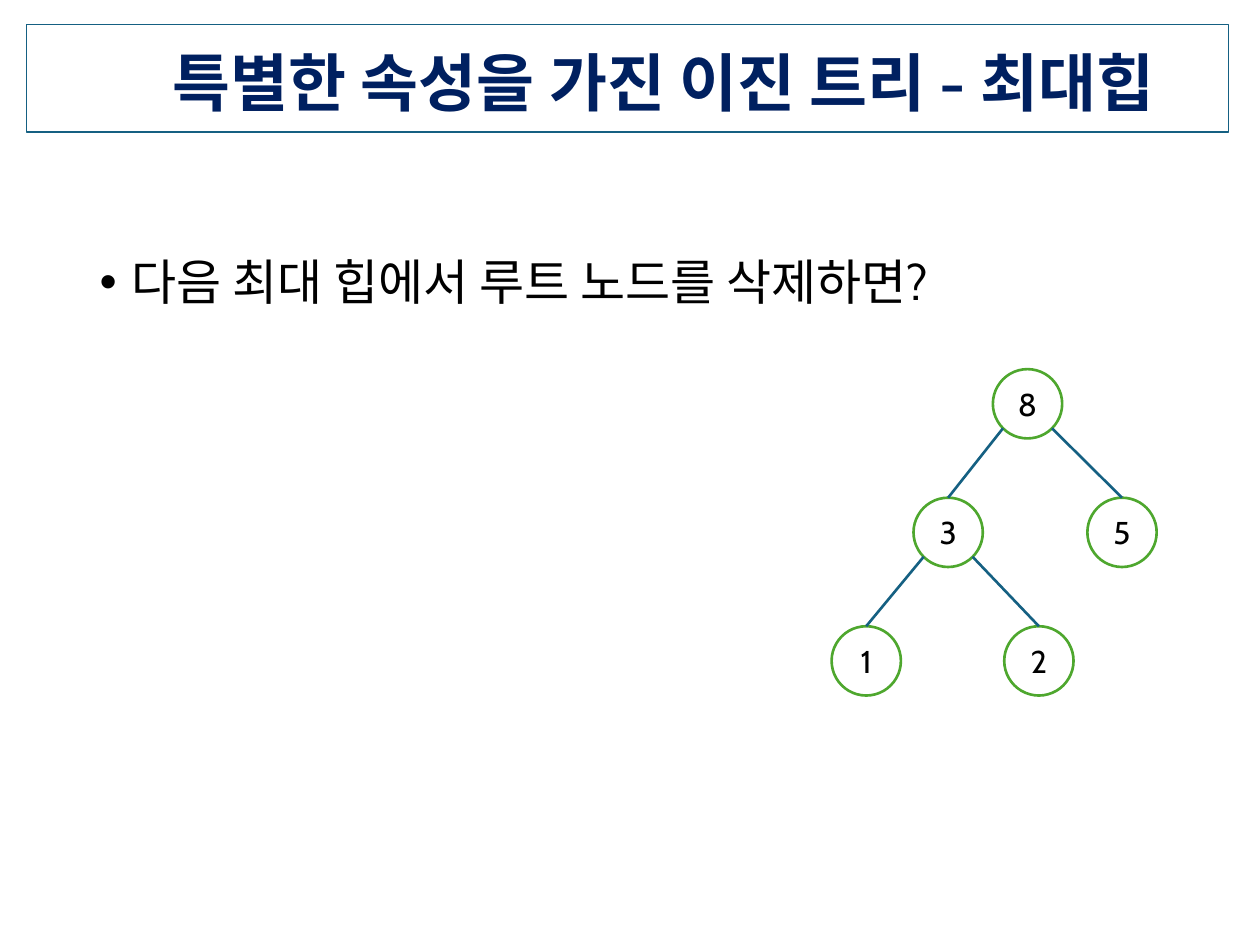
from math import sqrt

from lxml import etree
from pptx import Presentation
from pptx.dml.color import RGBColor
from pptx.enum.shapes import MSO_CONNECTOR, MSO_SHAPE
from pptx.enum.text import MSO_ANCHOR, MSO_AUTO_SIZE, PP_ALIGN
from pptx.oxml.ns import qn
from pptx.util import Inches, Pt

STRAIGHT = MSO_CONNECTOR.STRAIGHT
OVAL = MSO_SHAPE.OVAL
MIDDLE, TOP = MSO_ANCHOR.MIDDLE, MSO_ANCHOR.TOP
GROW, NO_AUTOFIT = MSO_AUTO_SIZE.SHAPE_TO_FIT_TEXT, MSO_AUTO_SIZE.NONE
CENTER, LEFT, RIGHT = PP_ALIGN.CENTER, PP_ALIGN.LEFT, PP_ALIGN.RIGHT

FONT = "Cabin"
COLORS = {
    "background": "FFFFFF",
    "title": "002060",
    "text": "000000",
    "edge": "156082",
    "node": "4EA72E",
}
NODE_SIZE = 0.55
LEVEL_STEP = 1.02
NODES = {
    "8": (1.28, 0),
    "3": (0.65, 1),
    "5": (2.03, 1),
    "1": (0, 2),
    "2": (1.37, 2),
}
EDGES = [("8", "3"), ("8", "5"), ("3", "1"), ("3", "2")]


def color(name):
    return RGBColor.from_string(COLORS[name])


def place(shape, box):
    shape.left, shape.top, shape.width, shape.height = map(Inches, box)


def style_line(line, name, width):
    line.color.rgb = color(name)
    line.width = Pt(width)


def write(shape, text, size, name, alignment, bold=False):
    shape.text_frame.text = text
    paragraph = shape.text_frame.paragraphs[0]
    paragraph.alignment = alignment
    font = paragraph.runs[0].font
    font.name = FONT
    font.size = Pt(size)
    font.bold = bold
    font.color.rgb = color(name)
    return paragraph


def add_title(slide, box):
    title = slide.shapes.title
    place(title, box)
    style_line(title.line, "edge", 0.75)
    frame = title.text_frame
    frame.auto_size = GROW
    frame.word_wrap = False
    frame.vertical_anchor = MIDDLE
    frame.margin_left = frame.margin_right = Inches(0.59)
    frame.margin_top, frame.margin_bottom = Inches(0.12), 0
    paragraph = write(title, "특별한 속성을 가진 이진 트리 - 최대힙", 36, "title", RIGHT, True)
    paragraph.line_spacing = 0.9


def add_question(slide, box):
    body = slide.placeholders[1]
    place(body, box)
    body.text_frame.auto_size = NO_AUTOFIT
    body.text_frame.vertical_anchor = TOP
    paragraph = write(body, "다음 최대 힙에서 루트 노드를 삭제하면?", 28, "text", LEFT)
    paragraph.line_spacing = 0.9
    paragraph.space_before = Pt(10)
    properties = paragraph._p.get_or_add_pPr()
    properties.set("marL", str(Inches(0.25)))
    properties.set("indent", str(-Inches(0.25)))
    etree.SubElement(properties, qn("a:buFont")).set("typeface", "Arial")
    etree.SubElement(properties, qn("a:buChar")).set("char", "•")


def add_node(slide, text, left, top):
    node = slide.shapes.add_shape(OVAL, *map(Inches, (left, top, NODE_SIZE, NODE_SIZE)))
    node.shadow.inherit = False
    node.fill.solid()
    node.fill.fore_color.rgb = color("background")
    style_line(node.line, "node", 1.5)
    node.text_frame.vertical_anchor = MIDDLE
    write(node, text, 18, "text", CENTER)


def add_edge(slide, parent, child):
    radius = NODE_SIZE / 2
    diagonal = radius / sqrt(2)
    side = 1 if child[0] > parent[0] else -1
    start = (child[0] + radius, child[1])
    end = (parent[0] + radius + side * diagonal, parent[1] + radius + diagonal)
    edge = slide.shapes.add_connector(STRAIGHT, *map(Inches, start + end))
    style_line(edge.line, "edge", 1.5)
    etree.SubElement(edge._element.spPr, qn("a:effectLst"))


def add_heap(slide, left, top):
    corners = {
        text: (left + offset, top + level * LEVEL_STEP)
        for text, (offset, level) in NODES.items()
    }
    for text, corner in corners.items():
        add_node(slide, text, *corner)
    for parent, child in EDGES:
        add_edge(slide, corners[parent], corners[child])


def main():
    presentation = Presentation()
    presentation.slide_width, presentation.slide_height = Inches(10), Inches(7.5)
    slide = presentation.slides.add_slide(presentation.slide_layouts[1])
    slide.background.fill.solid()
    slide.background.fill.fore_color.rgb = color("background")
    add_title(slide, (0.21, 0.29, 9.54, 0.66))
    add_question(slide, (0.69, 2, 9.31, 4.76))
    add_heap(slide, 6.6, 2.93)
    presentation.save("out.pptx")


if __name__ == "__main__":
    main()
